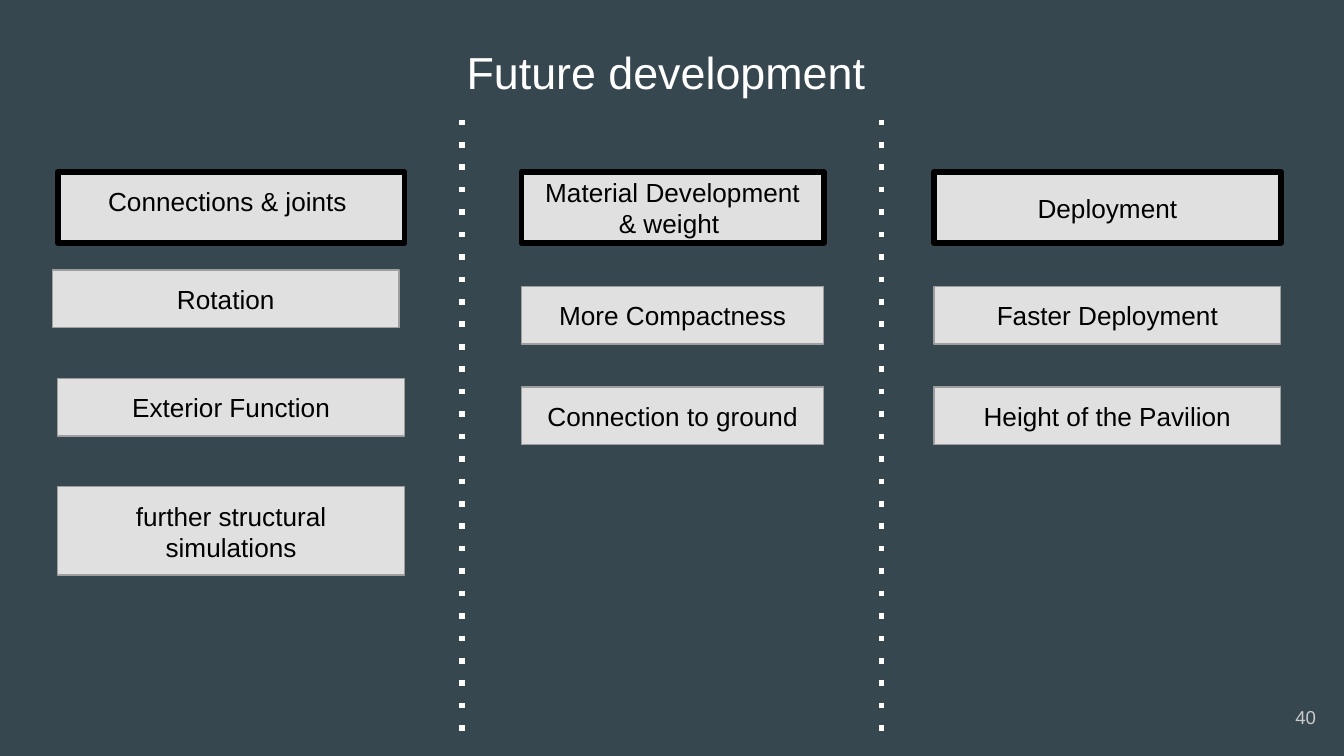
from lxml import etree
from pptx import Presentation
from pptx import util as u
from pptx.dml.color import RGBColor
from pptx.enum import dml, shapes, text
from pptx.oxml.ns import qn

SLATE = RGBColor(0x37, 0x47, 0x4F)
WHITE = RGBColor(0xFF, 0xFF, 0xFF)
BLACK = RGBColor(0, 0, 0)
PALE = RGBColor(0xE0, 0xE0, 0xE0)
GREY = RGBColor(0x9E, 0x9E, 0x9E)
NUMBER_GREY = RGBColor(0xCA, 0xCA, 0xCA)
TOP, MIDDLE = text.MSO_ANCHOR.TOP, text.MSO_ANCHOR.MIDDLE
CENTER, RIGHT = text.PP_ALIGN.CENTER, text.PP_ALIGN.RIGHT

WIDTH = 10
HEIGHT = WIDTH * 9 / 16
TITLE = "Future development "
PAGE_NUMBER = "40"
# Topics: (text, height, shift to the right)
COLUMNS = [
    {"left": 0.43, "width": 2.58, "heading": "Connections & joints ", "anchor": TOP,
     "first_row": 2.01, "last_row": 3.62,
     "topics": [("Rotation", 0.43, -0.04), ("Exterior Function", 0.43, 0),
                ("further structural simulations", 0.66, 0)]},
    {"left": 3.88, "width": 2.25, "heading": "Material Development & weight ", "anchor": MIDDLE,
     "first_row": 2.13, "last_row": 2.88,
     "topics": [("More Compactness", 0.43, 0), ("Connection to ground", 0.43, 0)]},
    {"left": 6.95, "width": 2.58, "heading": "Deployment", "anchor": MIDDLE,
     "first_row": 2.13, "last_row": 2.88,
     "topics": [("Faster Deployment", 0.43, 0), ("Height of the Pavilion", 0.43, 0)]},
]
HEADING_TOP, HEADING_HEIGHT = 1.28, 0.53
DIVIDER_OFFSET = 1.56  # either side of the slide's centre
DIVIDER_TOP, DIVIDER_BOTTOM = 0.89, 5.47


def write(shape, words, size, color, align=CENTER, anchor=TOP):
    frame = shape.text_frame
    frame.word_wrap = True
    frame.vertical_anchor = anchor
    frame.margin_left = frame.margin_right = u.Inches(0.1)
    frame.margin_top = frame.margin_bottom = u.Inches(0.1)
    paragraph = frame.paragraphs[0]
    paragraph.alignment = align
    run = paragraph.add_run()
    run.text = words
    run.font.name = "Arial"
    run.font.size = u.Pt(size)
    run.font.color.rgb = color
    return paragraph


def add_label(slide, box, words, size, color, align=CENTER, anchor=TOP):
    label = slide.shapes.add_textbox(*map(u.Inches, box))
    return write(label, words, size, color, align, anchor)


def add_card(slide, box, words, outline, weight, anchor=TOP):
    card = slide.shapes.add_shape(shapes.MSO_SHAPE.RECTANGLE, *map(u.Inches, box))
    card.shadow.inherit = False
    card.fill.solid()
    card.fill.fore_color.rgb = PALE
    card.line.color.rgb = outline
    card.line.width = u.Pt(weight)
    # Rounded corners on the outline
    etree.SubElement(card._element.spPr.find(qn("a:ln")), qn("a:round"))
    write(card, words, 14, BLACK, anchor=anchor)


def add_divider(slide, x):
    divider = slide.shapes.add_connector(
        shapes.MSO_CONNECTOR.STRAIGHT,
        *map(u.Inches, (x, DIVIDER_TOP, x, DIVIDER_BOTTOM)))
    divider.line.color.rgb = WHITE
    divider.line.width = u.Pt(3)
    divider.line.dash_style = dml.MSO_LINE.ROUND_DOT
    properties = divider._element.spPr
    properties.find(qn("a:ln")).find(qn("a:prstDash")).set("val", "dot")
    etree.SubElement(properties, qn("a:effectLst"))


def main():
    deck = Presentation()
    deck.slide_width, deck.slide_height = u.Inches(WIDTH), u.Inches(HEIGHT)
    slide = deck.slides.add_slide(deck.slide_layouts[6])
    slide.background.fill.solid()
    slide.background.fill.fore_color.rgb = SLATE

    title = add_label(slide, (0.34, 0.17, 9.32, 0.66), TITLE, 24, WHITE)
    title.line_spacing = 1.15
    title.space_after = u.Pt(12)
    for side in (-1, 1):
        add_divider(slide, WIDTH / 2 + side * DIVIDER_OFFSET)
    add_label(slide, (9.29, 5.12, 0.6, 0.43), PAGE_NUMBER, 10, NUMBER_GREY, RIGHT, MIDDLE)

    for column in COLUMNS:
        left, width, topics = column["left"], column["width"], column["topics"]
        add_card(slide, (left, HEADING_TOP, width, HEADING_HEIGHT),
                 column["heading"], BLACK, 3, column["anchor"])
        pitch = (column["last_row"] - column["first_row"]) / (len(topics) - 1)
        for row, (topic, height, shift) in enumerate(topics):
            top = column["first_row"] + row * pitch
            add_card(slide, (left + shift, top, width, height), topic, GREY, 0.75)

    deck.save("out.pptx")


if __name__ == "__main__":
    main()
